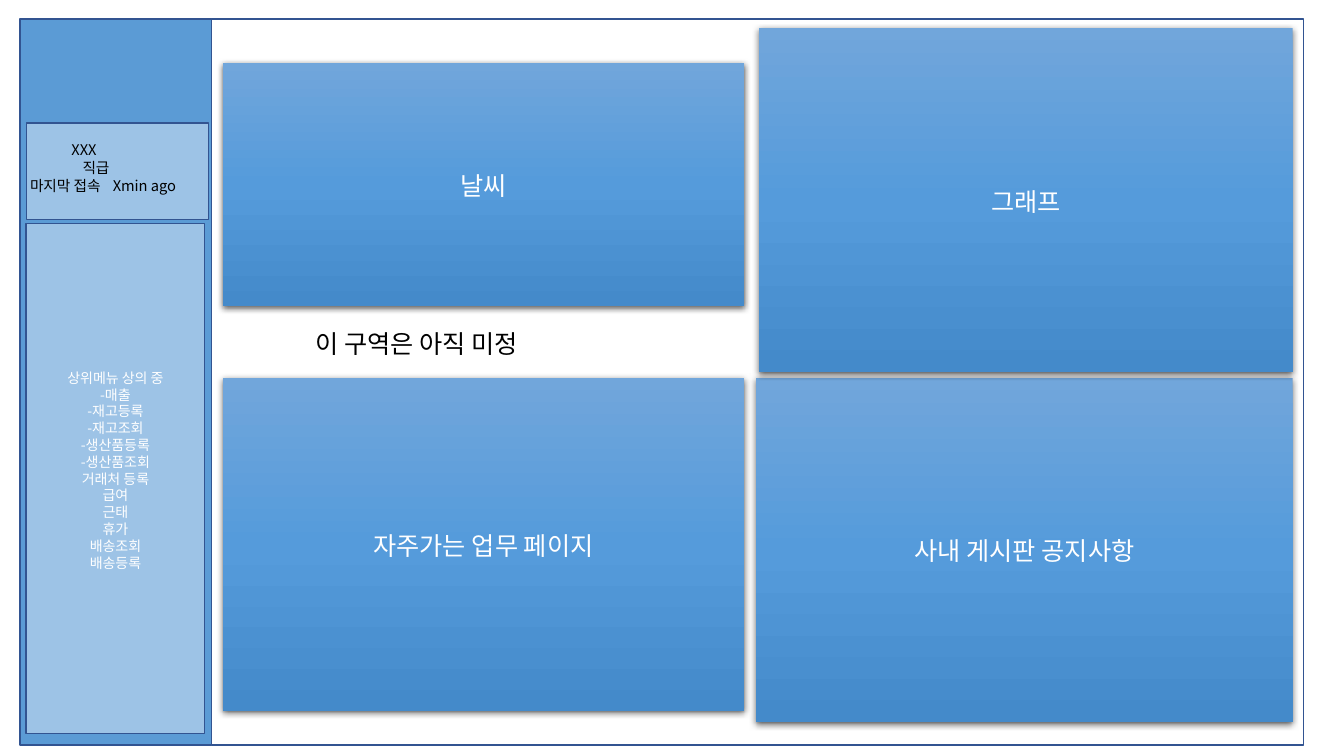
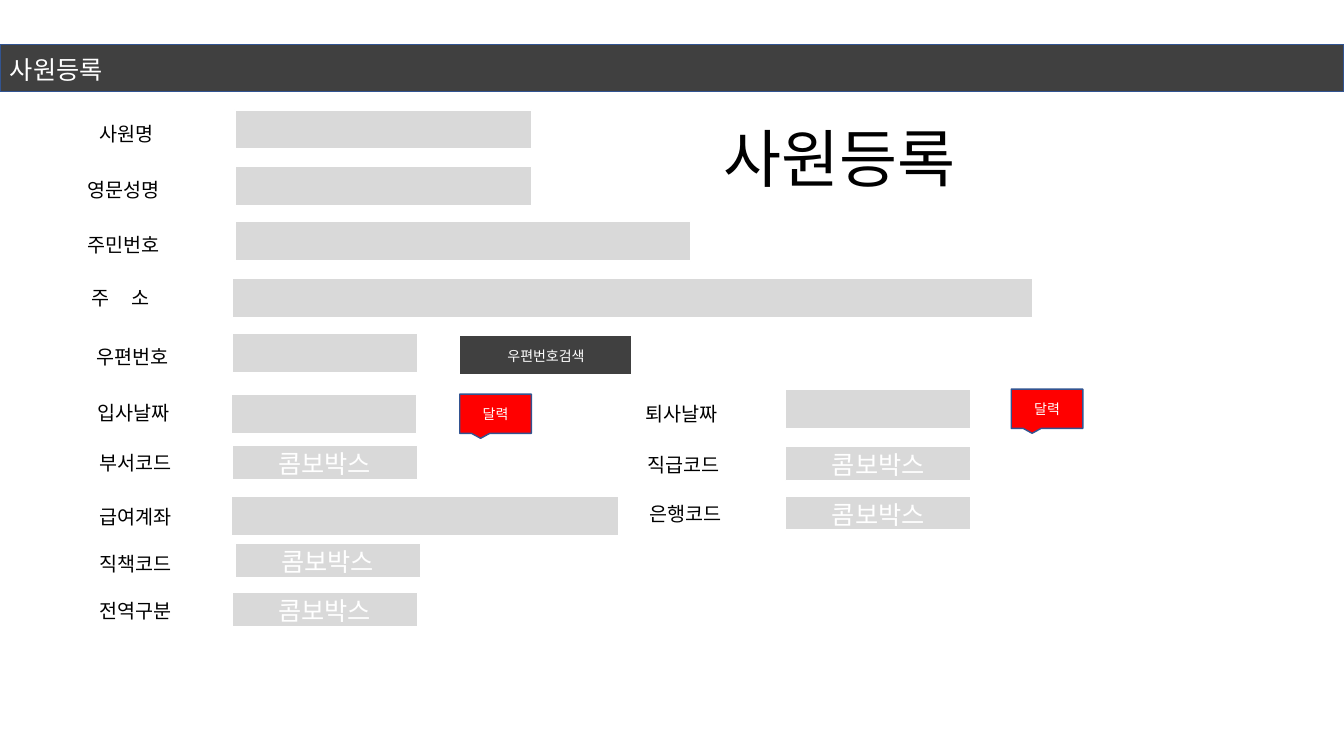
import copy

import pptx
import pptx.dml.color
import pptx.enum.shapes
import pptx.enum.text
import pptx.oxml.ns
import pptx.util
from lxml import etree

Inches = pptx.util.Inches
Pt = pptx.util.Pt
RGBColor = pptx.dml.color.RGBColor
ALIGN = pptx.enum.text.PP_ALIGN
ANCHOR = pptx.enum.text.MSO_ANCHOR
SHAPE = pptx.enum.shapes.MSO_SHAPE
qn = pptx.oxml.ns.qn

# Shared style
FONT = "Noto Sans CJK KR"
WHITE = RGBColor(0xFF, 0xFF, 0xFF)
BLACK = RGBColor(0x00, 0x00, 0x00)
BLUE = RGBColor(0x5B, 0x9B, 0xD5)
LIGHT_BLUE = RGBColor(0x9D, 0xC3, 0xE6)
OUTLINE = RGBColor(0x32, 0x54, 0x91)
DARK = RGBColor(0x40, 0x40, 0x40)
GRAY = RGBColor(0xD9, 0xD9, 0xD9)
RED = RGBColor(0xFF, 0x00, 0x00)
CARD_GRADIENT = [
    (0.0, RGBColor(0x71, 0xA6, 0xDB)),
    (0.5, RGBColor(0x55, 0x9B, 0xDB)),
    (1.0, RGBColor(0x44, 0x8A, 0xCA)),
]
LINE_FACTOR = 1.28

# Dashboard content: boxes are left, top, width, height in inches
SIDEBAR = (0.2, 0.19, 1.9, 7.2)
MAIN_AREA = (2.1, 0.19, 10.83, 7.2)
PROFILE_PANEL = (0.26, 1.22, 1.81, 0.96)
PROFILE_TEXT = (0.2, 1.23, 1.75, 0.76)
PROFILE = [("XXX", 0.41), ("직급", 0.52), ("마지막 접속\tXmin ago", 0)]
MENU_PANEL = (0.26, 2.22, 1.77, 5.06)
MENU = [
    "상위메뉴 상의 중", "-매출", "-재고등록", "-재고조회", "-생산품등록",
    "-생산품조회", "거래처 등록", "급여", "근태", "휴가", "배송조회", "배송등록",
]
CARDS = [
    ("사내 게시판 공지사항", (7.5, 3.75, 5.32, 3.41)),
    ("그래프", (7.53, 0.28, 5.29, 3.41)),
    ("날씨", (2.21, 0.62, 5.17, 2.42)),
    ("자주가는 업무 페이지", (2.21, 3.75, 5.17, 3.3)),
]

# Form content: label, label left, label top, field left, field top, field width
INPUTS = [
    ("사원명", 0.89, 1.15, 2.33, 1.09, 2.94),
    ("영문성명", 0.77, 1.7, 2.33, 1.65, 2.94),
    ("주민번호", 0.77, 2.25, 2.33, 2.2, 4.52),
    ("주\t소", 0.81, 2.77, 2.3, 2.76, 7.94),
    ("우편번호", 0.86, 3.36, 2.3, 3.31, 1.84),
    ("입사날짜", 0.87, 3.91, 2.29, 3.91, 1.84),
    ("퇴사날짜", 6.3, 3.92, 7.79, 3.86, 1.84),
    ("급여계좌", 0.89, 4.94, 2.29, 4.92, 3.85),
]
COMBOS = [
    ("부서코드", 0.89, 4.41, 2.3, 4.42, 1.84),
    ("직급코드", 6.32, 4.43, 7.79, 4.43, 1.84),
    ("은행코드", 6.34, 4.92, 7.79, 4.92, 1.84),
    ("직책코드", 0.89, 5.41, 2.33, 5.39, 1.84),
    ("전역구분", 0.89, 5.88, 2.3, 5.88, 1.84),
]
CALENDAR_CORNERS = [(4.56, 3.91), (10.03, 3.86)]
LABEL_WIDTH, LABEL_HEIGHT = 1.49, 0.34
INPUT_HEIGHT, COMBO_HEIGHT = 0.39, 0.34


def write_text(shape, lines, size, color, align, spacing=None, tab=None):
    """Fill a shape with one paragraph per line, all in one style."""
    text_frame = shape.text_frame
    text_frame.text = "\n".join(lines)
    for paragraph in text_frame.paragraphs:
        paragraph.alignment = align
        paragraph.line_spacing = Pt(spacing or round(size * LINE_FACTOR, 1))
        if tab and "\t" in paragraph.text:
            tab_list = etree.SubElement(paragraph._p.get_or_add_pPr(), qn("a:tabLst"))
            etree.SubElement(tab_list, qn("a:tab"), pos=str(Inches(tab)), algn="l")
        for run in paragraph.runs:
            run.font.name = FONT
            run.font.size = Pt(size)
            run.font.color.rgb = color
            etree.SubElement(run._r.get_or_add_rPr(), qn("a:ea"), typeface=FONT)


def add_box(slide, box, fill, line, lines=(), size=18, align=ALIGN.CENTER,
            kind=SHAPE.RECTANGLE, spacing=None):
    shape = slide.shapes.add_shape(kind, *map(Inches, box))
    shape.shadow.inherit = False
    if fill is not None:
        shape.fill.solid()
        shape.fill.fore_color.rgb = fill
    if line is None:
        shape.line.fill.background()
    else:
        shape.line.color.rgb = line
        shape.line.width = Pt(1)
    if lines:
        shape.text_frame.vertical_anchor = ANCHOR.MIDDLE
        write_text(shape, lines, size, WHITE, align, spacing)
    return shape


def add_label(slide, box, lines, size, wrap=True, spacing=None, tab=None):
    label = slide.shapes.add_textbox(*map(Inches, box))
    label.text_frame.word_wrap = wrap
    write_text(label, lines, size, BLACK, ALIGN.LEFT, spacing, tab)
    return label


def add_card(slide, title, box):
    """Add a gradient card with a soft shadow below it."""
    card = add_box(slide, box, None, None, [title])
    card.fill.gradient()
    card.fill.gradient_angle = 270
    properties = card._element.spPr
    stop_list = properties.find(".//" + qn("a:gsLst"))
    stop_list.append(copy.deepcopy(stop_list[-1]))
    for stop, (position, color) in zip(card.fill.gradient_stops, CARD_GRADIENT):
        stop.position = position
        stop.color.rgb = color
    shadow = etree.SubElement(
        properties.find(qn("a:effectLst")), qn("a:outerShdw"),
        blurRad=str(Pt(4.5)), dist=str(Pt(1.5)), dir="5400000",
        algn="ctr", rotWithShape="0")
    shadow_color = etree.SubElement(shadow, qn("a:srgbClr"), val=str(BLACK))
    etree.SubElement(shadow_color, qn("a:alpha"), val="63000")


def build_dashboard(slide):
    # Frame and sidebar
    add_box(slide, SIDEBAR, BLUE, OUTLINE)
    add_box(slide, MAIN_AREA, WHITE, OUTLINE)
    add_box(slide, PROFILE_PANEL, LIGHT_BLUE, OUTLINE)
    profile = add_label(slide, PROFILE_TEXT, [line for line, _ in PROFILE], 10.5,
                        spacing=13, tab=0.82)
    profile.text_frame.margin_top = Inches(0.16)
    for paragraph, (_, indent) in zip(profile.text_frame.paragraphs, PROFILE):
        paragraph._p.get_or_add_pPr().set("marL", str(Inches(indent)))
    menu = add_box(slide, MENU_PANEL, LIGHT_BLUE, OUTLINE, MENU, 10, spacing=12)
    menu.text_frame.margin_bottom = Inches(0.22)

    # Cards
    for title, box in CARDS:
        add_card(slide, title, box)
    add_label(slide, (3.03, 3.19, 2.58, 0.4), ["이 구역은 아직 미정"], 18, wrap=False)


def build_form(slide):
    # Title band and heading
    add_box(slide, (0, 0.44, 13.33, 0.47), DARK, OUTLINE, ["사원등록"], align=ALIGN.LEFT)
    add_label(slide, (7.08, 1.09, 5.9, 0.86), ["사원등록"], 45)

    # Labelled fields
    for rows, height, content in ((INPUTS, INPUT_HEIGHT, []),
                                  (COMBOS, COMBO_HEIGHT, ["콤보박스"])):
        for label, label_left, label_top, left, top, width in rows:
            add_label(slide, (label_left, label_top, LABEL_WIDTH, LABEL_HEIGHT),
                      [label], 14, tab=0.4)
            add_box(slide, (left, top, width, height), GRAY, WHITE, content)

    # Buttons
    add_box(slide, (4.56, 3.33, 1.71, INPUT_HEIGHT), DARK, WHITE, ["우편번호검색"], 10)
    for left, top in CALENDAR_CORNERS:
        add_box(slide, (left, top, 0.71, INPUT_HEIGHT), RED, OUTLINE, ["달력"], 10,
                kind=SHAPE.RECTANGULAR_CALLOUT)


def main():
    presentation = pptx.Presentation()
    presentation.slide_width = Inches(13.33)
    presentation.slide_height = Inches(7.5)
    for build in (build_dashboard, build_form):
        build(presentation.slides.add_slide(presentation.slide_layouts[6]))
    presentation.save("out.pptx")


if __name__ == "__main__":
    main()
